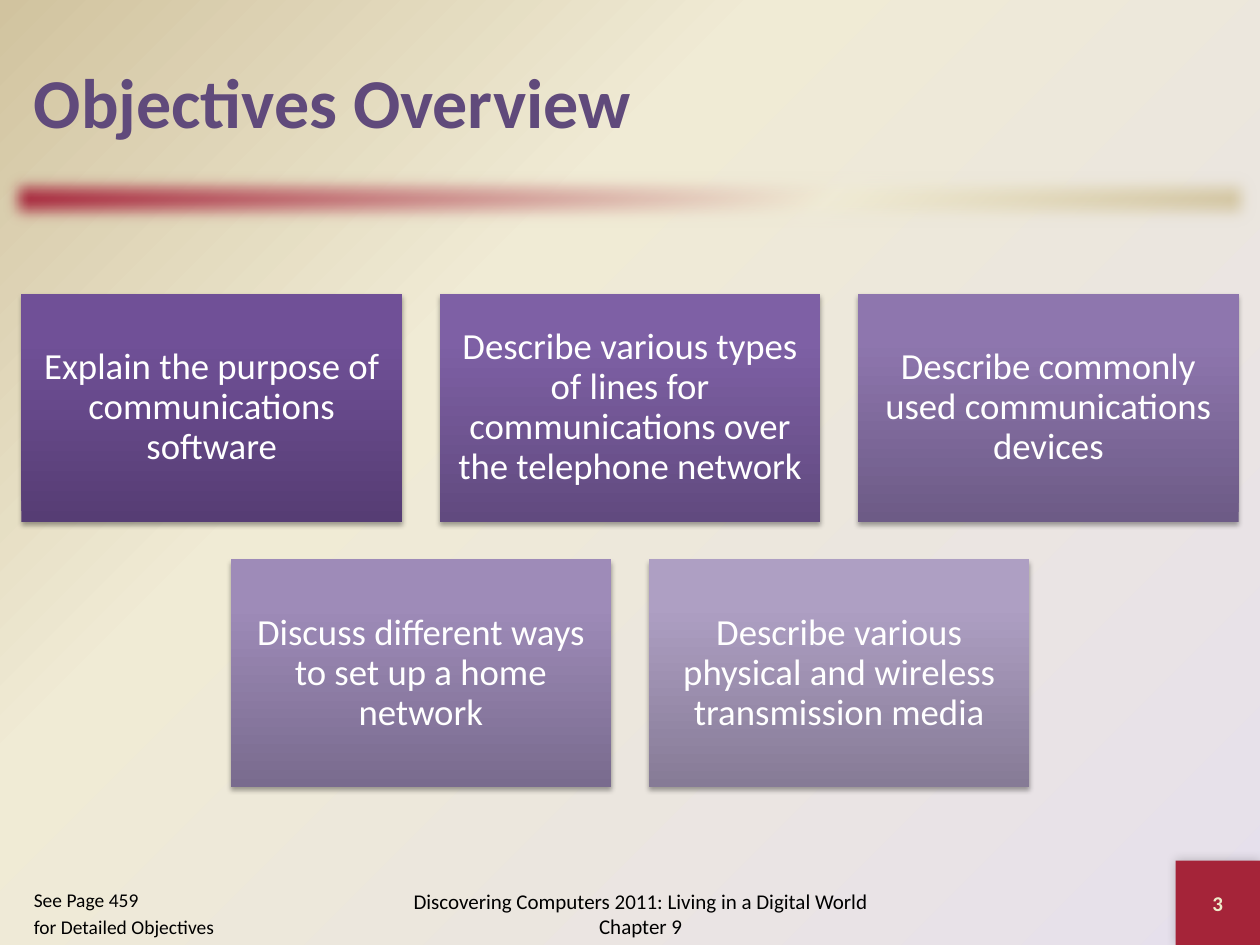
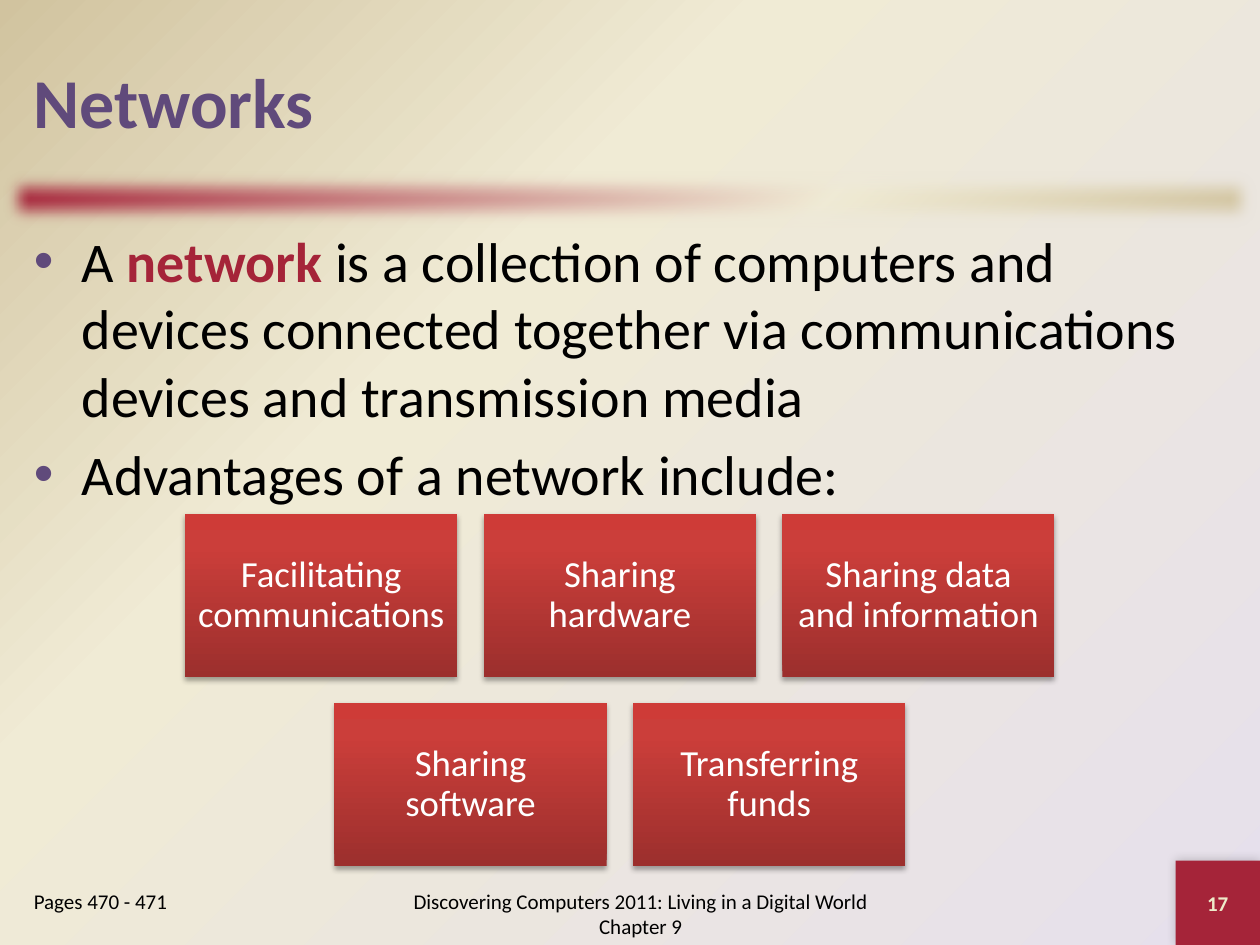
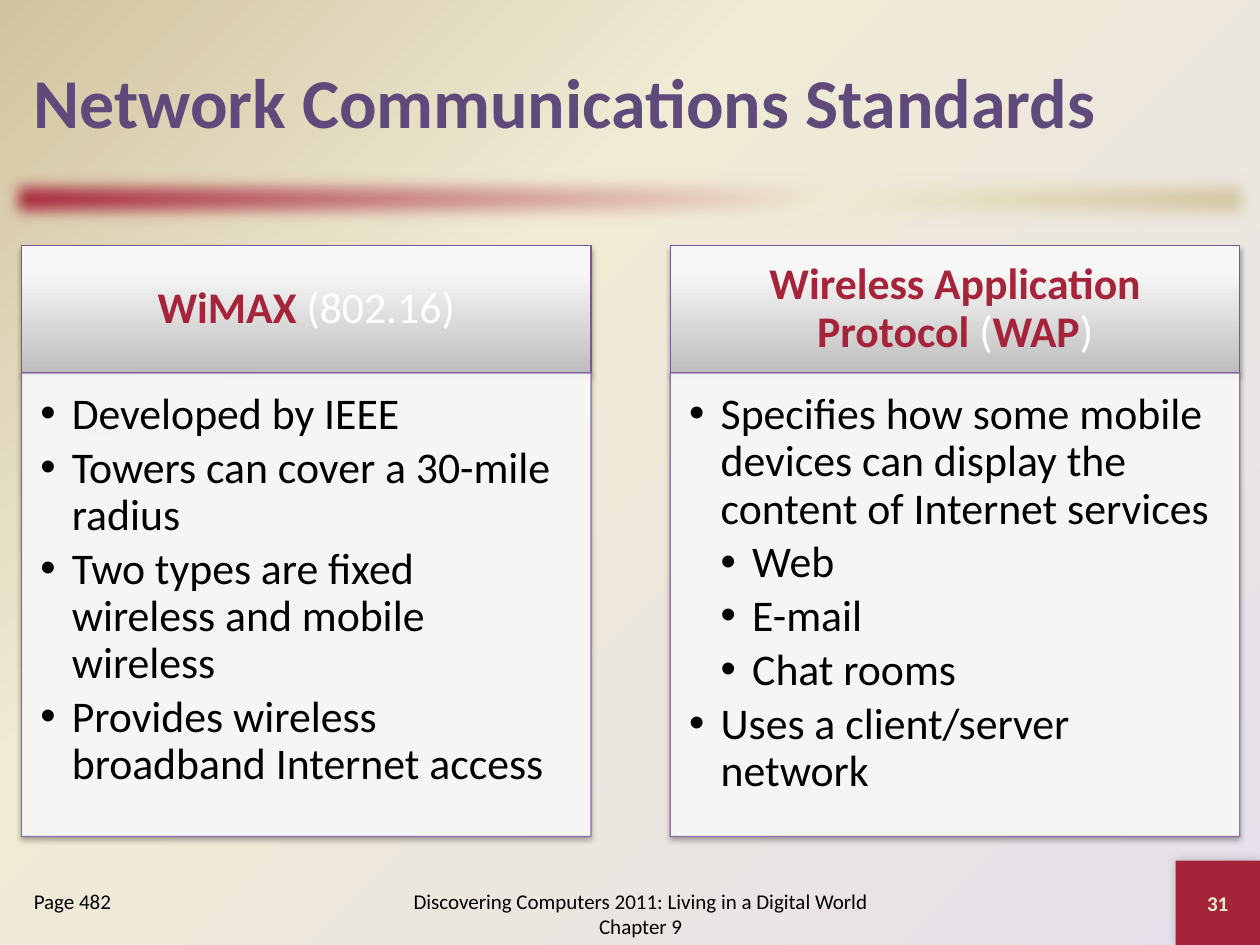
import pptx
import pptx.dml.color
import pptx.enum.shapes
import pptx.enum.text
import pptx.oxml
import pptx.oxml.ns
import pptx.util
from lxml import etree

Inches = pptx.util.Inches
Pt = pptx.util.Pt
ALIGN = pptx.enum.text.PP_ALIGN
ANCHOR = pptx.enum.text.MSO_ANCHOR
qn = pptx.oxml.ns.qn

FONT = "Calibri"
PURPLE, CRIMSON, CREAM, TAN = "604A7B", "A52439", "F0EBD5", "D1C39F"
BLACK, WHITE, NUMBER = "000000", "FFFFFF", "EEEBCA"
TILE_SHADOW = (35, 3.1, 1.8, 90)
PAGE_SHADOW = (20, 6, 0, 225)
RED_TILE = ("9C2F2D", "CB3E3A", "CE3B37")
PURPLE_TILES = [
    ("563D74", "705097", "704F99"),
    ("614A7F", "7E60A5", "7F60A7"),
    ("6D5B86", "8E76AE", "8E75B0"),
    ("796B8E", "9E8BB8", "9E8BBA"),
    ("867B96", "AE9FC3", "AE9FC4"),
]
SILVER = ("BEBEBE", "F7F7F7", "F8F8F8")
FOOTER = "Discovering Computers 2011: Living in a Digital World Chapter 9"


def rgb(code):
    return pptx.dml.color.RGBColor.from_string(code)


def add_node(parent, tag, **attributes):
    node = etree.SubElement(parent, qn(tag))
    for key, value in attributes.items():
        node.set(key, str(value))
    return node


def set_gradient(fill, owner, colours, middle, angle=None):
    fill.gradient()
    gradient = owner.find(".//" + qn("a:gradFill"))
    for child in list(gradient):
        gradient.remove(child)
    stops = add_node(gradient, "a:gsLst")
    for position, colour in zip((0, middle, 100), colours):
        stop = add_node(stops, "a:gs", pos=position * 1000)
        add_node(stop, "a:srgbClr", val=colour)
    if angle is None:
        centre = add_node(gradient, "a:path", path="circle")
        add_node(centre, "a:fillToRect", l=100000, t=100000)
    else:
        add_node(gradient, "a:lin", ang=angle * 60000, scaled=0)


def set_opacity(owner, percent):
    for colour in owner.iter(qn("a:srgbClr")):
        add_node(colour, "a:alpha", val=percent * 1000)


def add_rectangle(slide, box, shadow=None):
    rectangle = slide.shapes.add_shape(
        pptx.enum.shapes.MSO_SHAPE.RECTANGLE, *map(Inches, box))
    rectangle.line.fill.background()
    rectangle.shadow.inherit = False
    if shadow:
        opacity, blur, distance, direction = shadow
        effects = rectangle._element.spPr.find(qn("a:effectLst"))
        outer = add_node(effects, "a:outerShdw", blurRad=int(Pt(blur)),
                         dist=int(Pt(distance)), dir=direction * 60000,
                         rotWithShape=0)
        colour = add_node(outer, "a:srgbClr", val=BLACK)
        add_node(colour, "a:alpha", val=opacity * 1000)
    return rectangle


def prepare_frame(holder, insets=(0.1, 0.05, 0.1, 0.05), anchor=ANCHOR.MIDDLE):
    frame = holder.text_frame
    frame.word_wrap = True
    frame.vertical_anchor = anchor
    (frame.margin_left, frame.margin_top,
     frame.margin_right, frame.margin_bottom) = map(Inches, insets)
    return frame


def add_bullet(paragraph, left, hanging, colour):
    properties = paragraph._p.get_or_add_pPr()
    properties.set("marL", str(Inches(left)))
    properties.set("indent", str(-Inches(hanging)))
    bullet_colour = add_node(properties, "a:buClr")
    add_node(bullet_colour, "a:srgbClr", val=colour)
    add_node(properties, "a:buFont", typeface="Arial")
    add_node(properties, "a:buChar", char="•")


def write_runs(paragraph, runs, size, align=ALIGN.LEFT, spacing=None):
    paragraph.alignment = align
    if spacing:
        paragraph.line_spacing = spacing
    for text, colour, bold in runs:
        run = paragraph.add_run()
        run.text = text
        run.font.name = FONT
        run.font.size = Pt(size)
        run.font.bold = bold
        run.font.color.rgb = rgb(colour)


def next_paragraph(frame, index):
    return frame.add_paragraph() if index else frame.paragraphs[0]


def add_label(slide, box, lines, size, colour=BLACK, bold=False,
              align=ALIGN.LEFT, anchor=ANCHOR.MIDDLE):
    frame = prepare_frame(slide.shapes.add_textbox(*map(Inches, box)), anchor=anchor)
    for index, line in enumerate(lines):
        paragraph = next_paragraph(frame, index)
        write_runs(paragraph, [(line, colour, bold)], size, align)
        if index:
            paragraph.space_before = Pt(size * 0.2)


def add_band(slide):
    band = add_rectangle(slide, (0, 1.33, 10, 0.5))
    set_gradient(band.fill, band._element.spPr, (CRIMSON, CREAM, TAN), 65, 45)
    effects = band._element.spPr.find(qn("a:effectLst"))
    add_node(effects, "a:softEdge", rad=int(Pt(10)))


def add_page_number(slide, number):
    square = add_rectangle(slide, (9.33, 6.83, 0.67, 0.67), PAGE_SHADOW)
    square.fill.solid()
    square.fill.fore_color.rgb = rgb(CRIMSON)
    write_runs(prepare_frame(square).paragraphs[0],
               [(str(number), NUMBER, True)], 12, ALIGN.CENTER)


def start_slide(deck, title, number, pages, pages_size=12):
    slide = deck.slides.add_slide(deck.slide_layouts[6])
    add_band(slide)
    add_page_number(slide, number)
    add_label(slide, (0.17, 0.17, 9.67, 1.25), [title], 40, PURPLE, True)
    add_label(slide, (3, 7, 4.17, 0.5), [FOOTER], 12, align=ALIGN.CENTER)
    add_label(slide, (0.17, 7, 1.83, 0.5), pages, pages_size, anchor=ANCHOR.TOP)
    return slide


def add_gradient_tile(slide, box, colours, runs, size, insets):
    tile = add_rectangle(slide, box, TILE_SHADOW)
    set_gradient(tile.fill, tile._element.spPr, colours, 80, 270)
    write_runs(prepare_frame(tile, insets).paragraphs[0], runs, size,
               ALIGN.CENTER, 0.9)
    return tile


def add_tile_rows(slide, texts, palettes, centre, top, width, height, gap):
    for index, (text, colours) in enumerate(zip(texts, palettes)):
        row, column = divmod(index, 3)
        count = min(3, len(texts) - row * 3)
        left = centre - (count * (width + gap) - gap) / 2
        box = (left + column * (width + gap), top + row * (height + gap),
               width, height)
        add_gradient_tile(slide, box, colours, [(text, WHITE, False)], 21,
                          (0.09, 0.09, 0.09, 0.09))


def add_body(slide, bullets):
    body = slide.shapes.add_textbox(*map(Inches, (0.17, 1.75, 9.67, 5.08)))
    frame = prepare_frame(body, anchor=ANCHOR.TOP)
    for index, runs in enumerate(bullets):
        paragraph = next_paragraph(frame, index)
        add_bullet(paragraph, 0.38, 0.38, PURPLE)
        write_runs(paragraph, runs, 32)
        if index:
            paragraph.space_before = Pt(6.4)


def add_standard(slide, left, heading, points):
    header = add_gradient_tile(slide, (left, 1.95, 4.52, 1.01), SILVER, heading,
                               25, (0.19, 0.11, 0.19, 0.11))
    header.line.color.rgb = rgb("745B93")
    header.line.width = Pt(0.75)

    details = add_rectangle(slide, (left, 2.96, 4.52, 3.68), TILE_SHADOW)
    details.fill.solid()
    details.fill.fore_color.rgb = rgb(WHITE)
    details.line.color.rgb = rgb("8064A2")
    details.line.width = Pt(0.75)
    properties = details._element.spPr
    set_opacity(properties.find(qn("a:solidFill")), 90)
    set_opacity(properties.find(qn("a:ln")), 90)
    frame = prepare_frame(details, (0.15, 0.15, 0.19, 0.22), ANCHOR.TOP)
    for index, (level, text) in enumerate(points):
        paragraph = next_paragraph(frame, index)
        add_bullet(paragraph, 0.25 * level, 0.25, BLACK)
        write_runs(paragraph, [(text, BLACK, False)], 25, spacing=0.9)
        paragraph.space_after = Pt(3.75)


def build_objectives(deck):
    slide = start_slide(deck, "Objectives Overview", 3,
                        ["See Page 459", "for Detailed Objectives"], 11.1)
    objectives = [
        "Explain the purpose of communications software",
        "Describe various types of lines for communications over the telephone network",
        "Describe commonly used communications devices",
        "Discuss different ways to set up a home network",
        "Describe various physical and wireless transmission media",
    ]
    add_tile_rows(slide, objectives, PURPLE_TILES, 5, 2.33, 3.02, 1.81, 0.3)


def build_networks(deck):
    slide = start_slide(deck, "Networks", 17, ["Pages 470 - 471"])
    add_body(slide, [
        [("A ", BLACK, False), ("network", CRIMSON, True),
         (" is a collection of computers and devices connected together via "
          "communications devices and transmission media", BLACK, False)],
        [("Advantages of a network include:", BLACK, False)],
    ])
    advantages = ["Facilitating communications", "Sharing hardware",
                  "Sharing data and information", "Sharing software",
                  "Transferring funds"]
    add_tile_rows(slide, advantages, [RED_TILE] * len(advantages),
                  4.92, 4.08, 2.16, 1.29, 0.21)


def build_standards(deck):
    slide = start_slide(deck, "Network Communications Standards", 31, ["Page 482"])
    add_standard(slide, 0.17, [("WiMAX", CRIMSON, True), (" (802.16)", WHITE, False)], [
        (1, "Developed by IEEE"),
        (1, "Towers can cover a 30-mile radius"),
        (1, "Two types are fixed wireless and mobile wireless"),
        (1, "Provides wireless broadband Internet access"),
    ])
    add_standard(slide, 5.32, [
        ("Wireless Application Protocol ", CRIMSON, True), ("(", WHITE, False),
        ("WAP", CRIMSON, True), (")", WHITE, False),
    ], [
        (1, "Specifies how some mobile devices can display the content of Internet services"),
        (2, "Web"),
        (2, "E-mail"),
        (2, "Chat rooms"),
        (1, "Uses a client/server network"),
    ])


def main():
    deck = pptx.Presentation()
    deck.slide_width = Inches(10)
    deck.slide_height = Inches(7.5)
    master = deck.slide_master
    set_gradient(master.background.fill, master._element.cSld,
                 ("E6E0EC", CREAM, TAN), 65)
    build_objectives(deck)
    build_networks(deck)
    build_standards(deck)
    deck.save("out.pptx")


if __name__ == "__main__":
    main()
